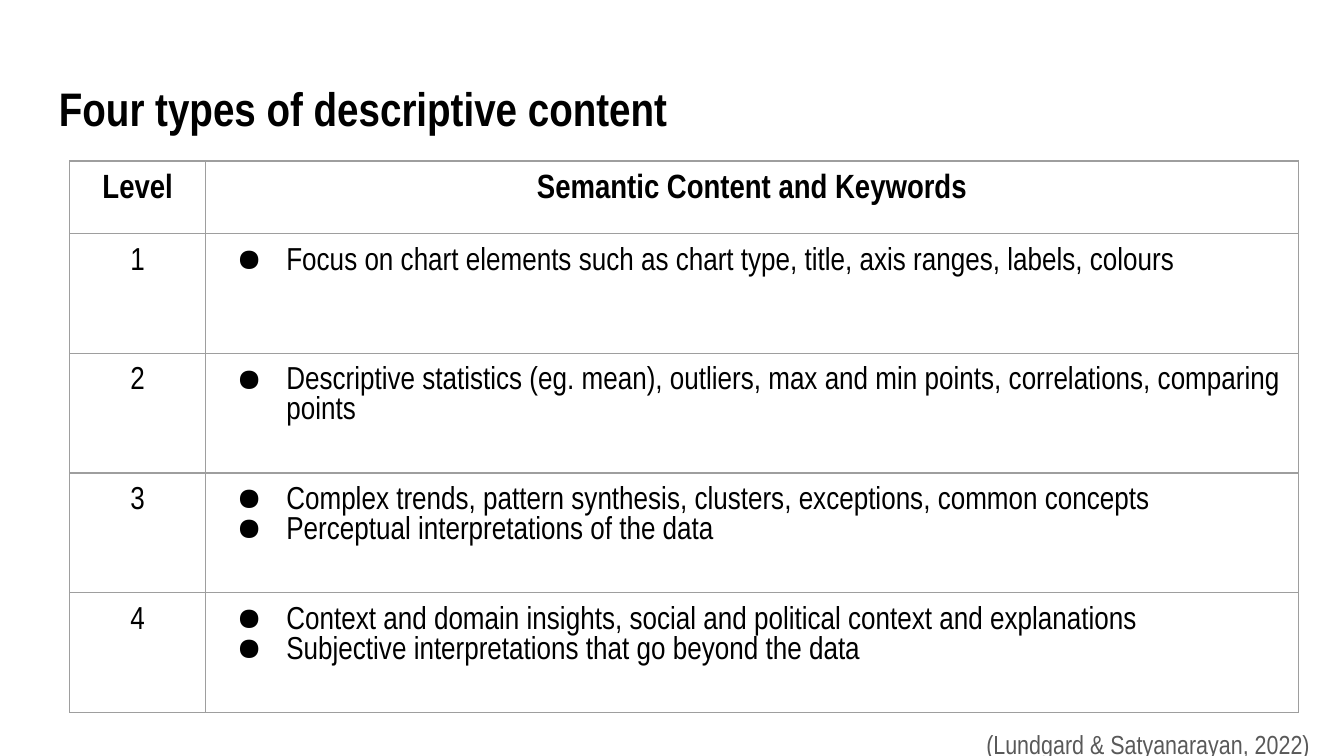
from dataclasses import dataclass

from lxml import etree
from pptx import Presentation
from pptx import util as u
from pptx.dml.color import RGBColor
from pptx.enum import text
from pptx.oxml import ns

Pt = u.Pt


@dataclass(frozen=True)
class Theme:
    font: str = "Arial Narrow"
    ink: str = "000000"
    gray: str = "595959"
    rule: str = "9E9E9E"
    title: float = 25.2
    head: float = 18
    body: float = 17
    cite: float = 14
    inset: float = 7.2


THEME = Theme()

HEADS = ["Level", "Semantic Content and Keywords"]
LEVELS = [
    ["Focus on chart elements such as chart type, title, axis ranges, labels, colours"],
    ["Descriptive statistics (eg. mean), outliers, max and min points, "
     "correlations, comparing points"],
    ["Complex trends, pattern synthesis, clusters, exceptions, common concepts",
     "Perceptual interpretations of the data"],
    ["Context and domain insights, social and political context and explanations",
     "Subjective interpretations that go beyond the data"],
]


def add_run(para, words, size, color=THEME.ink, bold=False):
    run = para.add_run()
    run.text = words
    font = run.font
    font.name, font.size, font.bold = THEME.font, Pt(size), bold
    font.color.rgb = RGBColor.from_string(color)


def pad(part):
    """Give a cell or text frame equal margins."""
    part.margin_left = part.margin_right = Pt(THEME.inset)
    part.margin_top = part.margin_bottom = Pt(THEME.inset)


def add_label(slide, box, words, size, color, bold=False, space=None):
    frame = slide.shapes.add_textbox(*map(Pt, box)).text_frame
    frame.word_wrap = True
    pad(frame)
    para = frame.paragraphs[0]
    para.line_spacing = space
    add_run(para, words, size, color, bold)


def add_node(root, tag, **attrs):
    return etree.SubElement(root, ns.qn(tag), attrs)


def add_dot(para):
    """Set a hanging bullet on a paragraph."""
    props = para._p.get_or_add_pPr()
    props.set("marL", str(Pt(36)))
    props.set("indent", str(Pt(-26.64)))
    add_node(add_node(props, "a:buClr"), "a:srgbClr", val=THEME.ink)
    add_node(props, "a:buChar", char="●")


def frame_cell(cell):
    """Draw the four cell borders and clear the fill."""
    pad(cell)
    props = cell._tc.get_or_add_tcPr()
    for side in ("a:lnL", "a:lnR", "a:lnT", "a:lnB"):
        line = add_node(props, side, w=str(Pt(0.75)))
        add_node(add_node(line, "a:solidFill"), "a:srgbClr", val=THEME.rule)
    cell.fill.background()


def fill_cell(cell, lines, size, bold=False, dots=False):
    frame_cell(cell)
    frame = cell.text_frame
    for i, words in enumerate(lines):
        para = frame.add_paragraph() if i else frame.paragraphs[0]
        if dots:
            add_dot(para)
        else:
            para.alignment = text.PP_ALIGN.CENTER
        add_run(para, words, size, bold=bold)


def add_grid(slide, left, top, widths, head, row):
    heights = [head] + [row] * len(LEVELS)
    box = (left, top, sum(widths), sum(heights))
    grid = slide.shapes.add_table(len(heights), len(widths), *map(Pt, box)).table
    grid.first_row = grid.horz_banding = False
    for col, width in zip(grid.columns, widths):
        col.width = Pt(width)
    for line, height in zip(grid.rows, heights):
        line.height = Pt(height)

    # Header row
    for col, words in enumerate(HEADS):
        fill_cell(grid.cell(0, col), [words], THEME.head, bold=True)

    # One row per level
    for level, points in enumerate(LEVELS, 1):
        fill_cell(grid.cell(level, 0), [str(level)], THEME.body)
        fill_cell(grid.cell(level, 1), points, THEME.body, dots=True)


def main():
    deck = Presentation()
    deck.slide_width, deck.slide_height = Pt(720), Pt(405)
    slide = deck.slides.add_slide(deck.slide_layouts[6])

    # Title
    add_label(slide, (24.5, 35.3, 671, 45.4), "Four types of descriptive content",
              THEME.title, THEME.ink, bold=True)
    # Citation
    add_label(slide, (521.3, 374.4, 213, 31.7), "(Lundgard & Satyanarayan, 2022)",
              THEME.cite, THEME.gray, space=1.5)
    # Table of levels
    add_grid(slide, 37.4, 86.2, (72.8, 585.4), head=38.9, row=64.2)

    deck.save("out.pptx")


if __name__ == "__main__":
    main()
